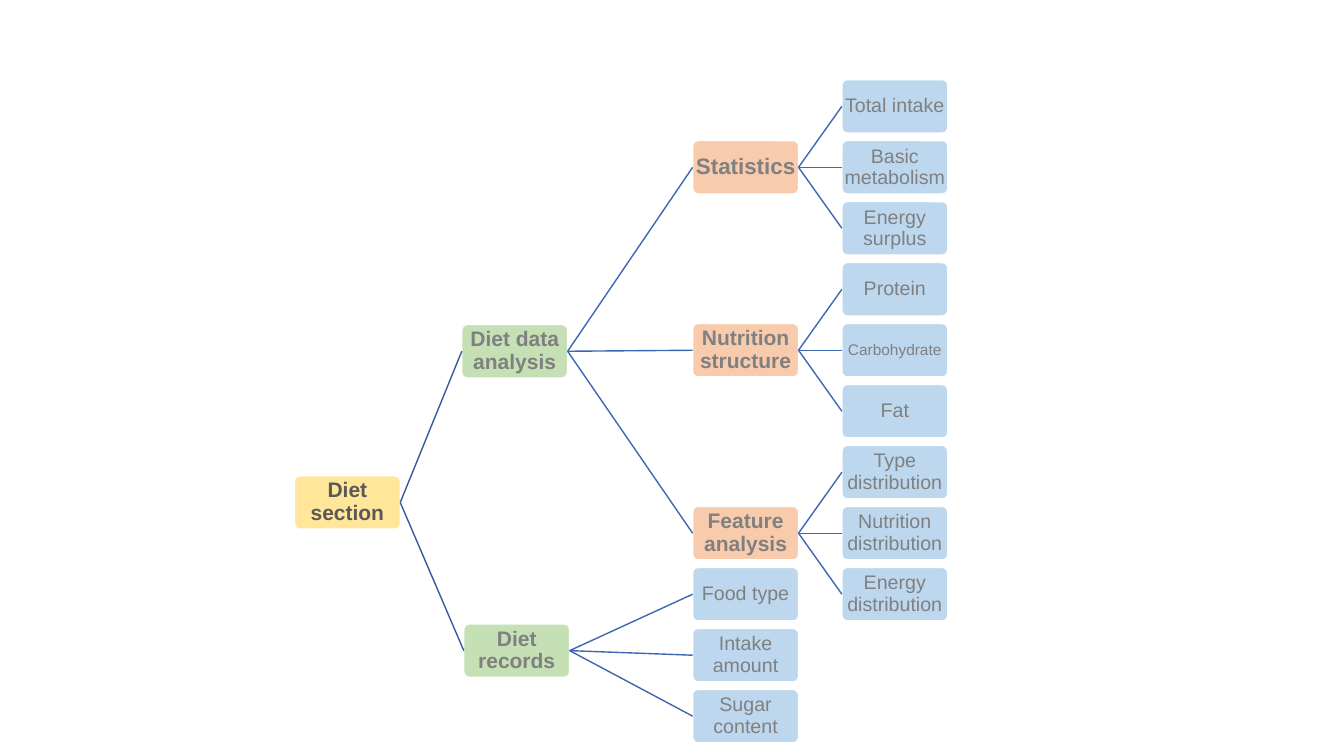
"""Builds the diet section tree diagram."""
from dataclasses import dataclass

from lxml.etree import SubElement
from pptx import Presentation
from pptx.dml.color import RGBColor
from pptx.enum.shapes import MSO_CONNECTOR, MSO_SHAPE
from pptx.enum.text import MSO_ANCHOR, PP_ALIGN
from pptx.oxml.ns import qn
from pptx.shapes.autoshape import Shape
from pptx.slide import Slide
from pptx.util import Inches, Pt

WHITE = RGBColor(0xFF, 0xFF, 0xFF)
YELLOW = RGBColor(0xFF, 0xE6, 0x99)
GREEN = RGBColor(0xC5, 0xE0, 0xB4)
ORANGE = RGBColor(0xF8, 0xCB, 0xAD)
BLUE = RGBColor(0xBD, 0xD7, 0xEE)
DARK_GRAY = RGBColor(0x59, 0x59, 0x59)
GRAY = RGBColor(0x80, 0x80, 0x80)
DARK_LINK = RGBColor(0x36, 0x5B, 0x9D)
LINK = RGBColor(0x3E, 0x67, 0xB2)

BOX_WIDTH, BOX_HEIGHT = 1.05, 0.53
FIRST_TOP, ROW_STEP = 0.79, 0.605
THIRD_LEFT, FOURTH_LEFT = 6.87, 8.35
RIGHT_SITE, LEFT_SITE = 3, 1


@dataclass(frozen=True)
class Topic:
    label: str
    left: float
    top: float
    fill: RGBColor
    size: int = 15
    bold: bool = True
    color: RGBColor = GRAY
    link: RGBColor = LINK
    children: tuple["Topic", ...] = ()


def row_top(row: int) -> float:
    return FIRST_TOP + ROW_STEP * row


def leaves(left: float, first_row: int, *labels: str) -> tuple[Topic, ...]:
    return tuple(
        Topic(label, left, row_top(first_row + index), BLUE,
              11 if label == "Carbohydrate" else 14, False)
        for index, label in enumerate(labels)
    )


def analysis(label: str, row: int, size: int, *details: str) -> Topic:
    return Topic(label, THIRD_LEFT, row_top(row), ORANGE, size,
                 children=leaves(FOURTH_LEFT, row - 1, *details))


def add_box(page: Slide, topic: Topic) -> Shape:
    box = page.shapes.add_shape(
        MSO_SHAPE.ROUNDED_RECTANGLE, Inches(topic.left), Inches(topic.top),
        Inches(BOX_WIDTH), Inches(BOX_HEIGHT))
    box.adjustments[0] = 0.1
    box.shadow.inherit = False
    box.fill.solid()
    box.fill.fore_color.rgb = topic.fill
    box.line.color.rgb = WHITE
    box.line.width = Pt(1)
    frame = box.text_frame
    frame.word_wrap = True
    frame.vertical_anchor = MSO_ANCHOR.MIDDLE
    frame.margin_left = frame.margin_right = Inches(0.01)
    frame.margin_top = frame.margin_bottom = Inches(0.01)
    para = frame.paragraphs[0]
    para.alignment = PP_ALIGN.CENTER
    para.line_spacing = 0.9
    span = para.add_run()
    span.text = topic.label
    span.font.name = "Arial"
    span.font.size = Pt(topic.size)
    span.font.bold = topic.bold
    span.font.color.rgb = topic.color
    return box


def add_link(page: Slide, parent: Shape, child: Shape, color: RGBColor) -> None:
    link = page.shapes.add_connector(MSO_CONNECTOR.STRAIGHT, 0, 0, 0, 0)
    link.begin_connect(parent, RIGHT_SITE)
    link.end_connect(child, LEFT_SITE)
    link.line.color.rgb = color
    link.line.width = Pt(1)
    SubElement(link._element.spPr, qn("a:effectLst"))


def add_tree(page: Slide, topic: Topic) -> Shape:
    box = add_box(page, topic)
    for child in topic.children:
        add_link(page, box, add_tree(page, child), topic.link)
    return box


DATA_ANALYSIS = Topic("Diet data analysis", 4.58, 3.22, GREEN, children=(
    analysis("Statistics", 1, 16,
             "Total intake", "Basic metabolism", "Energy surplus"),
    analysis("Nutrition structure", 4, 15, "Protein", "Carbohydrate", "Fat"),
    analysis("Feature analysis", 7, 15, "Type distribution",
             "Nutrition distribution", "Energy distribution"),
))
RECORDS = Topic("Diet records", 4.6, 6.19, GREEN, children=leaves(
    THIRD_LEFT, 8, "Food type", "Intake amount", "Sugar content"))
DIET = Topic("Diet section", 2.92, 4.72, YELLOW, color=DARK_GRAY,
             link=DARK_LINK, children=(DATA_ANALYSIS, RECORDS))

deck = Presentation()
deck.slide_width, deck.slide_height = Inches(13.33), Inches(7.5)
diet_page = deck.slides.add_slide(deck.slide_layouts[6])
add_tree(diet_page, DIET)
deck.save("out.pptx")
